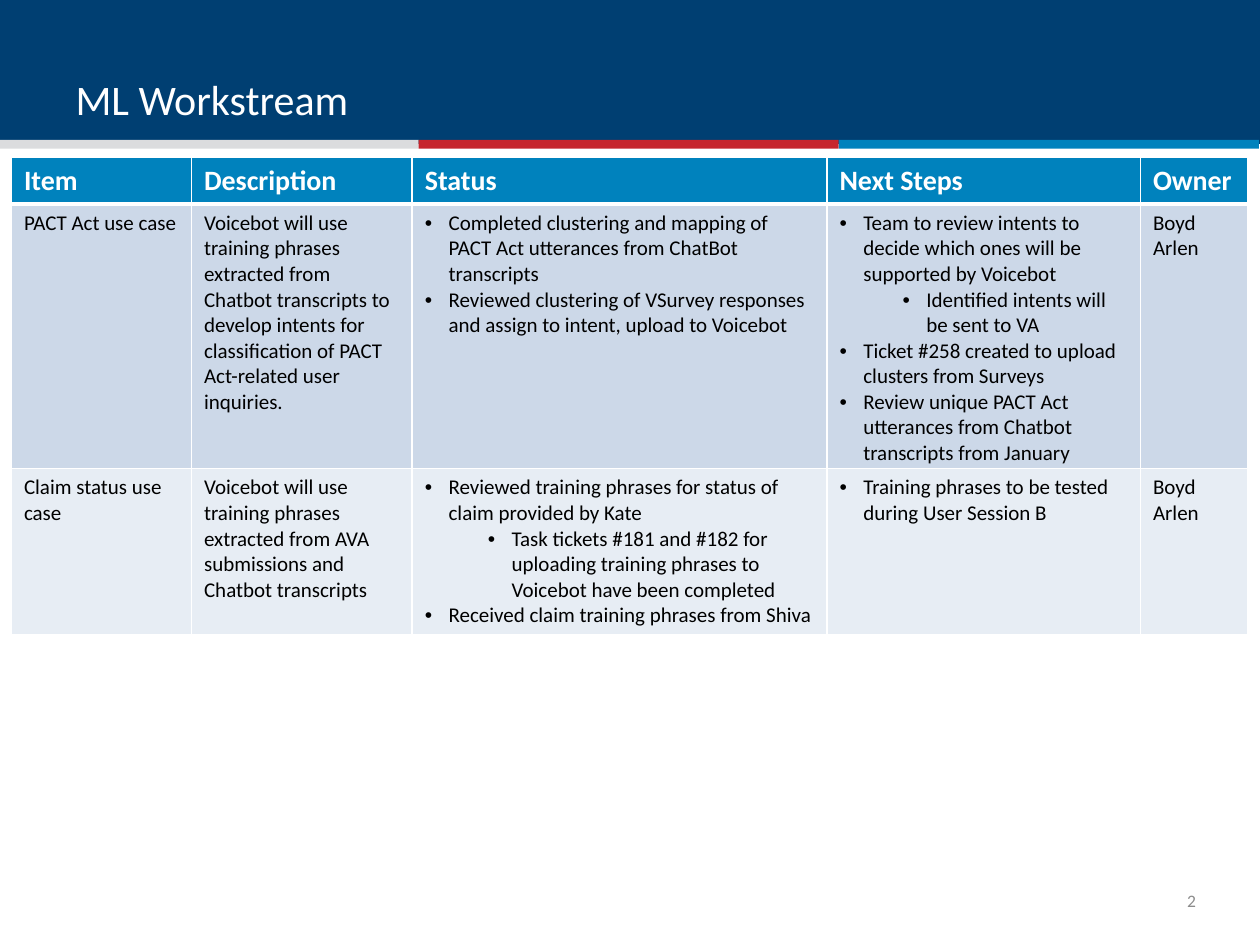
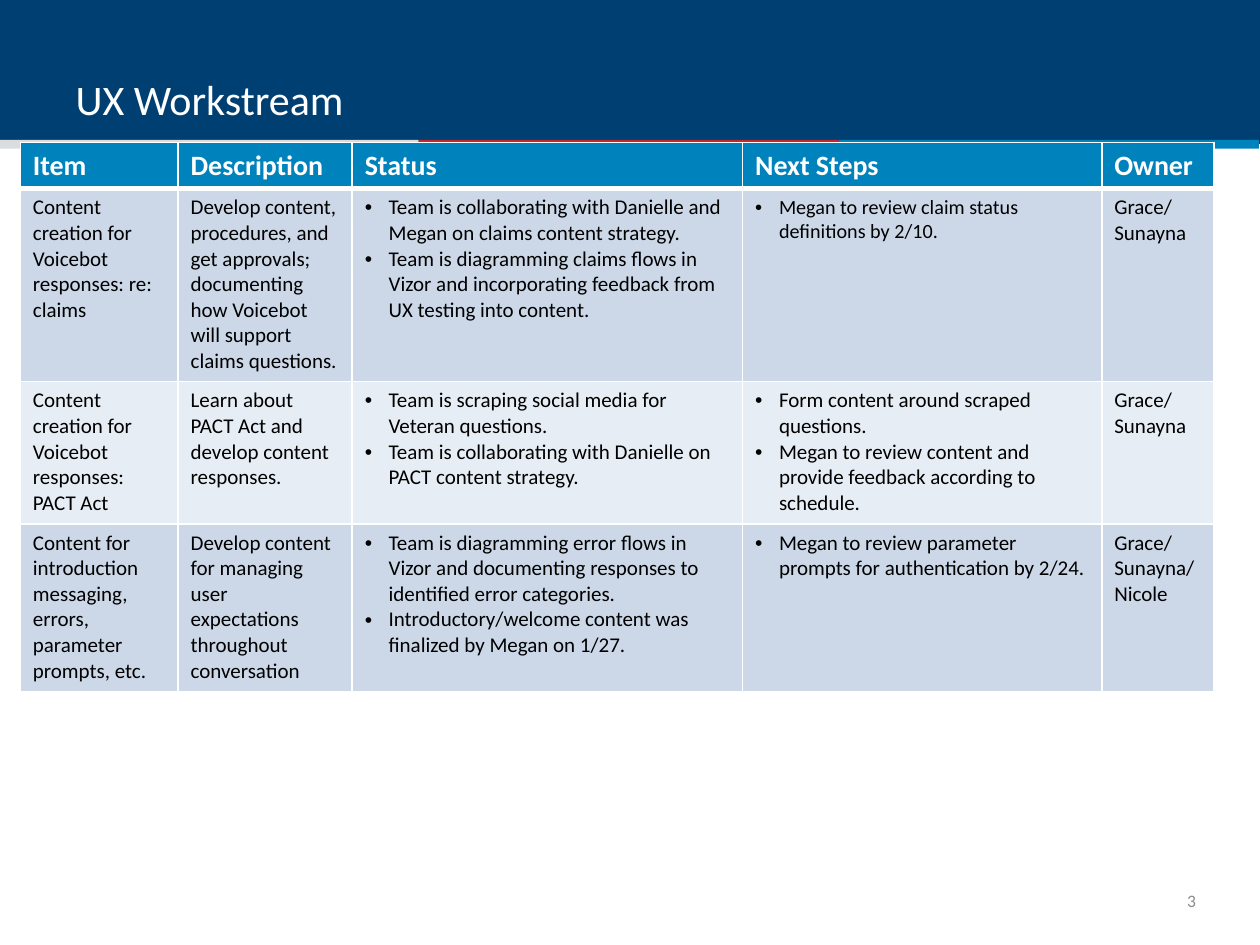
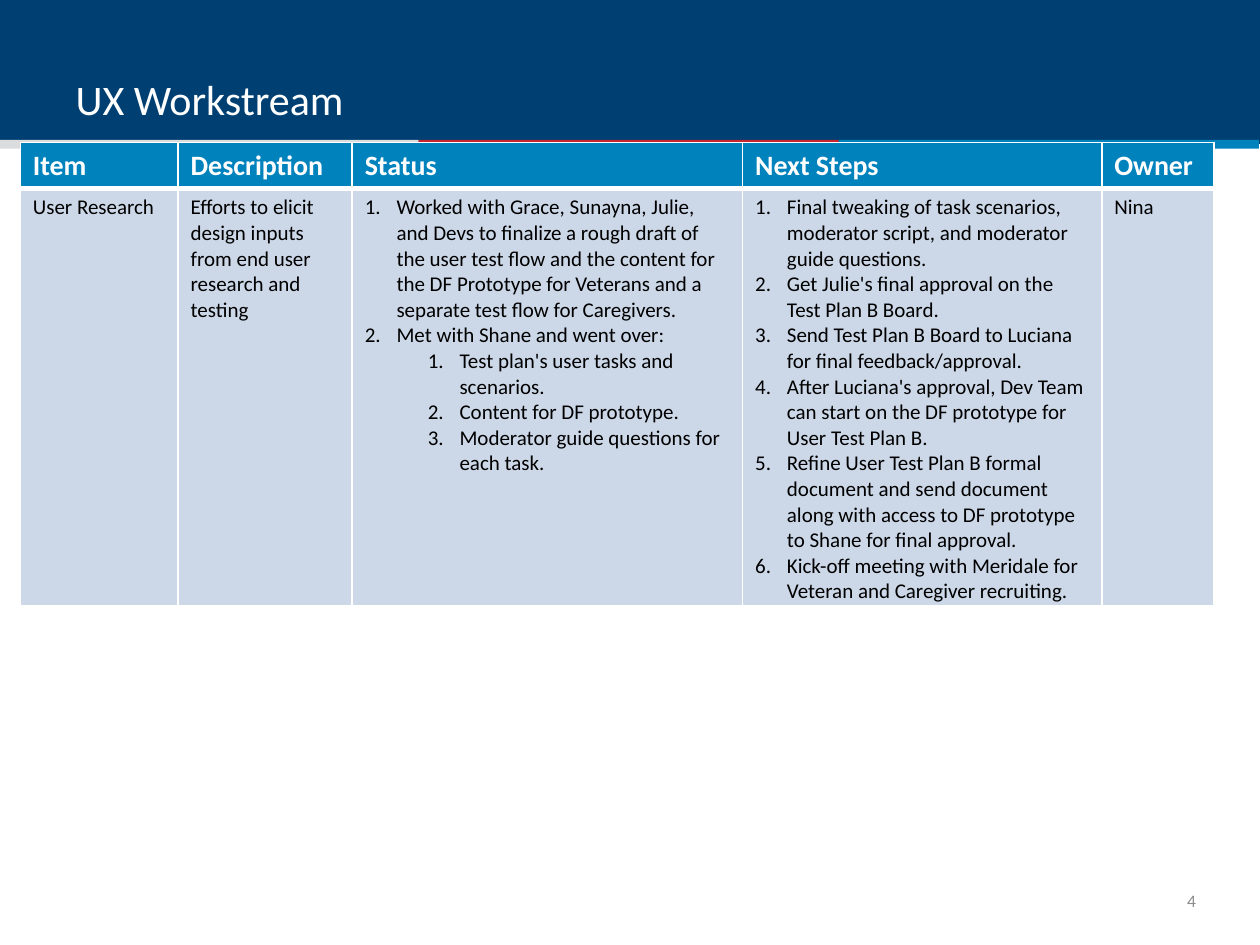
from dataclasses import dataclass

from lxml import etree
from pptx import Presentation
from pptx import util as u
from pptx.dml import color
from pptx.enum import shapes, text
from pptx.oxml import ns

FONT = "Calibri"
NAVY, BLUE, RED, SILVER = "003F72", "0082BD", "C6262D", "DBDCDE"
WHITE, BLACK, GRAY = "FFFFFF", "000000", "8C8C8C"
ROW_FILLS = ("CCD8E8", "E7EDF4")
HEADINGS = ("Item", "Description", "Status", "Next Steps", "Owner")
UX_PLACE = (0.41, 2.87)
UX_COLUMNS = (3.18, 3.51, 7.87, 7.24, 2.26)


@dataclass
class Listing:
    """List for a table cell; a nested list holds the sub-items."""
    items: list
    numbered: bool = False
    size: float = 12


ML_ROWS = [
    ["PACT Act use case",
     "Voicebot will use training phrases extracted from Chatbot transcripts to develop "
     "intents for classification of PACT Act-related user inquiries.",
     Listing(["Completed clustering and mapping of PACT Act utterances from ChatBot transcripts",
              "Reviewed clustering of VSurvey responses and assign to intent, upload to Voicebot"]),
     Listing(["Team to review intents to decide which ones will be supported by Voicebot",
              ["Identified intents will be sent to VA"],
              "Ticket #258 created to upload clusters from Surveys",
              "Review unique PACT Act utterances from Chatbot transcripts from January"]),
     "Boyd\nArlen"],
    ["Claim status use case",
     "Voicebot will use training phrases extracted from AVA submissions and Chatbot transcripts",
     Listing(["Reviewed training phrases for status of claim provided by Kate",
              ["Task tickets #181 and #182 for uploading training phrases to Voicebot "
               "have been completed"],
              "Received claim training phrases from Shiva"]),
     Listing(["Training phrases to be tested during User Session B"]),
     "Boyd Arlen"],
]

CONTENT_ROWS = [
    ["Content creation for Voicebot responses: re: claims",
     "Develop content, procedures, and get approvals; documenting how Voicebot will "
     "support claims questions.",
     Listing(["Team is collaborating with Danielle and Megan on claims content strategy.",
              "Team is diagramming claims flows in Vizor and incorporating feedback from "
              "UX testing into content."]),
     Listing(["Megan to review claim status definitions by 2/10."], size=11.5),
     "Grace/ Sunayna"],
    ["Content creation for Voicebot responses: PACT Act",
     "Learn about PACT Act and develop content responses.",
     Listing(["Team is scraping social media for Veteran questions.",
              "Team is collaborating with Danielle on PACT content strategy."]),
     Listing(["Form content around scraped questions.",
              "Megan to review content and provide feedback according to schedule."]),
     "Grace/\nSunayna"],
    ["Content for introduction messaging, errors, parameter prompts, etc.",
     "Develop content for managing user expectations throughout conversation",
     Listing(["Team is diagramming error flows in Vizor and documenting responses to "
              "identified error categories.",
              "Introductory/welcome content was finalized by Megan on 1/27."]),
     Listing(["Megan to review parameter prompts for authentication by 2/24."]),
     "Grace/\nSunayna/\nNicole"],
]

RESEARCH_ROWS = [
    ["User Research",
     "Efforts to elicit design inputs from end user research and testing",
     Listing(["Worked with Grace, Sunayna, Julie, and Devs to finalize a rough draft of the "
              "user test flow and the content for the DF Prototype for Veterans and a "
              "separate test flow for Caregivers.",
              "Met with Shane and went over:",
              ["Test plan's user tasks and scenarios.",
               "Content for DF prototype.",
               "Moderator guide questions for each task."]], numbered=True),
     Listing(["Final tweaking of task scenarios, moderator script, and moderator guide questions.",
              "Get Julie's final approval on the Test Plan B Board.",
              "Send Test Plan B Board to Luciana for final feedback/approval.",
              "After Luciana's approval, Dev Team can start on the DF prototype for "
              "User Test Plan B.",
              "Refine User Test Plan B formal document and send document along with access "
              "to DF prototype to Shane for final approval.",
              "Kick-off meeting with Meridale for Veteran and Caregiver recruiting."],
             numbered=True),
     "Nina"],
]


def paint(target, hex_color):
    """Give a fill or a font format one solid colour."""
    if hasattr(target, "solid"):
        target.solid()
        target = target.fore_color
    target.rgb = color.RGBColor.from_string(hex_color)


def add_span(para, words, size, hex_color, bold=False):
    span = para.add_run()
    span.text = words
    span.font.name = FONT
    span.font.size = u.Pt(size)
    span.font.bold = bold
    paint(span.font.color, hex_color)


def place(shape, left, top, width, height):
    shape.left, shape.top = u.Cm(left), u.Cm(top)
    shape.width, shape.height = u.Cm(width), u.Cm(height)


def add_master_band(deck, slide, left, top, width, height, fill):
    """Draw a rectangle and move it to the slide master, above earlier bands."""
    band = slide.shapes.add_shape(shapes.MSO_SHAPE.RECTANGLE, 0, 0, 0, 0)
    place(band, left, top, width, height)
    band.shadow.inherit = False
    paint(band.fill, fill)
    band.line.fill.background()
    master_shapes = deck.slide_master.shapes
    master_shapes[0].element.addprevious(band.element) if not any(
        shape.shape_type == shapes.MSO_SHAPE_TYPE.AUTO_SHAPE for shape in master_shapes
    ) else master_shapes[-1].element.addnext(band.element)


def add_master_bands(deck, slide):
    add_master_band(deck, slide, -0.03, 0, 25.43, 2.9, NAVY)
    stripe_width = 8.47
    for index, fill in enumerate((SILVER, RED, BLUE)):
        add_master_band(deck, slide, -0.03 + index * stripe_width, 2.82,
                        stripe_width, 0.18, fill)


def add_title(slide, words):
    title = slide.shapes.title
    place(title, 1.27, 0.36, 22.86, 2.26)
    title.text_frame.vertical_anchor = text.MSO_ANCHOR.BOTTOM
    para = title.text_frame.paragraphs[0]
    para.alignment = text.PP_ALIGN.LEFT
    add_span(para, words, 24, WHITE)


def add_page_number(slide, number):
    box = slide.shapes.add_textbox(0, 0, 0, 0)
    place(box, 23.42, 17.65, 0.69, 1.02)
    frame = box.text_frame
    frame.word_wrap = True
    frame.vertical_anchor = text.MSO_ANCHOR.MIDDLE
    frame.margin_left = frame.margin_right = frame.margin_top = frame.margin_bottom = 0
    para = frame.paragraphs[0]
    para.alignment = text.PP_ALIGN.RIGHT
    add_span(para, str(number), 10, GRAY)


def set_marker(para, numbered, level):
    """Add a bullet or a number with its hanging indent."""
    para.level = level
    hang = 0.64 if numbered else 0.48
    props = para._p.get_or_add_pPr()
    props.set("marL", str(u.Cm(hang + 1.27 * level)))
    props.set("indent", str(-u.Cm(hang)))
    if numbered:
        etree.SubElement(props, ns.qn("a:buFont"), typeface="+mj-lt")
        etree.SubElement(props, ns.qn("a:buAutoNum"), type="arabicPeriod")
    else:
        etree.SubElement(props, ns.qn("a:buFont"), typeface="Arial")
        etree.SubElement(props, ns.qn("a:buChar"), char="•")


def set_borders(cell, bottom):
    props = cell._tc.get_or_add_tcPr()
    for side, weight in (("L", 1), ("R", 1), ("T", 1), ("B", bottom)):
        line = etree.SubElement(props, ns.qn(f"a:ln{side}"), w=str(u.Pt(weight)))
        fill = etree.SubElement(line, ns.qn("a:solidFill"))
        etree.SubElement(fill, ns.qn("a:srgbClr"), val=WHITE)


def leveled(items, level=0):
    """Yield each item of a nested list with its level."""
    for item in items:
        if isinstance(item, list):
            yield from leveled(item, level + 1)
        else:
            yield item, level


def fill_cell(cell, content, fill, header=False):
    set_borders(cell, 3 if header else 1)
    paint(cell.fill, fill)
    listed = isinstance(content, Listing)
    lines = leveled(content.items if listed else content.split("\n"))
    size = 16 if header else content.size if listed else 12
    frame = cell.text_frame
    for index, (words, level) in enumerate(lines):
        para = frame.add_paragraph() if index else frame.paragraphs[0]
        if listed:
            set_marker(para, content.numbered, level)
        add_span(para, words, size, WHITE if header else BLACK, header)


def add_status_table(slide, corner, columns, heights, rows):
    left, top = corner
    table = slide.shapes.add_table(
        len(heights), len(columns), u.Cm(left), u.Cm(top),
        u.Cm(sum(columns)), u.Cm(sum(heights))).table
    for column, width in zip(table.columns, columns):
        column.width = u.Cm(width)
    for row, height in zip(table.rows, heights):
        row.height = u.Cm(height)
    for cell, heading in zip(table.rows[0].cells, HEADINGS):
        fill_cell(cell, heading, BLUE, header=True)
    for index, contents in enumerate(rows):
        for cell, content in zip(table.rows[index + 1].cells, contents):
            fill_cell(cell, content, ROW_FILLS[index % 2])


def main():
    deck = Presentation()
    deck.slide_width, deck.slide_height = u.Cm(25.4), u.Cm(19.05)
    title_only = deck.slide_layouts[5]
    pages = [
        ("ML Workstream", (0.23, 3.18), (3.63, 4.45, 8.36, 6.32, 2.16),
         (0.89, 5.33, 3.35), ML_ROWS),
        ("UX Workstream", UX_PLACE, UX_COLUMNS, (0.91, 3.89, 2.87, 3.38), CONTENT_ROWS),
        ("UX Workstream", UX_PLACE, UX_COLUMNS, (0.91, 8.41), RESEARCH_ROWS),
    ]
    for number, (title, corner, columns, heights, rows) in enumerate(pages, start=2):
        slide = deck.slides.add_slide(title_only)
        if number == 2:
            add_master_bands(deck, slide)
        add_title(slide, title)
        add_page_number(slide, number)
        add_status_table(slide, corner, columns, heights, rows)
    deck.save("out.pptx")


if __name__ == "__main__":
    main()
